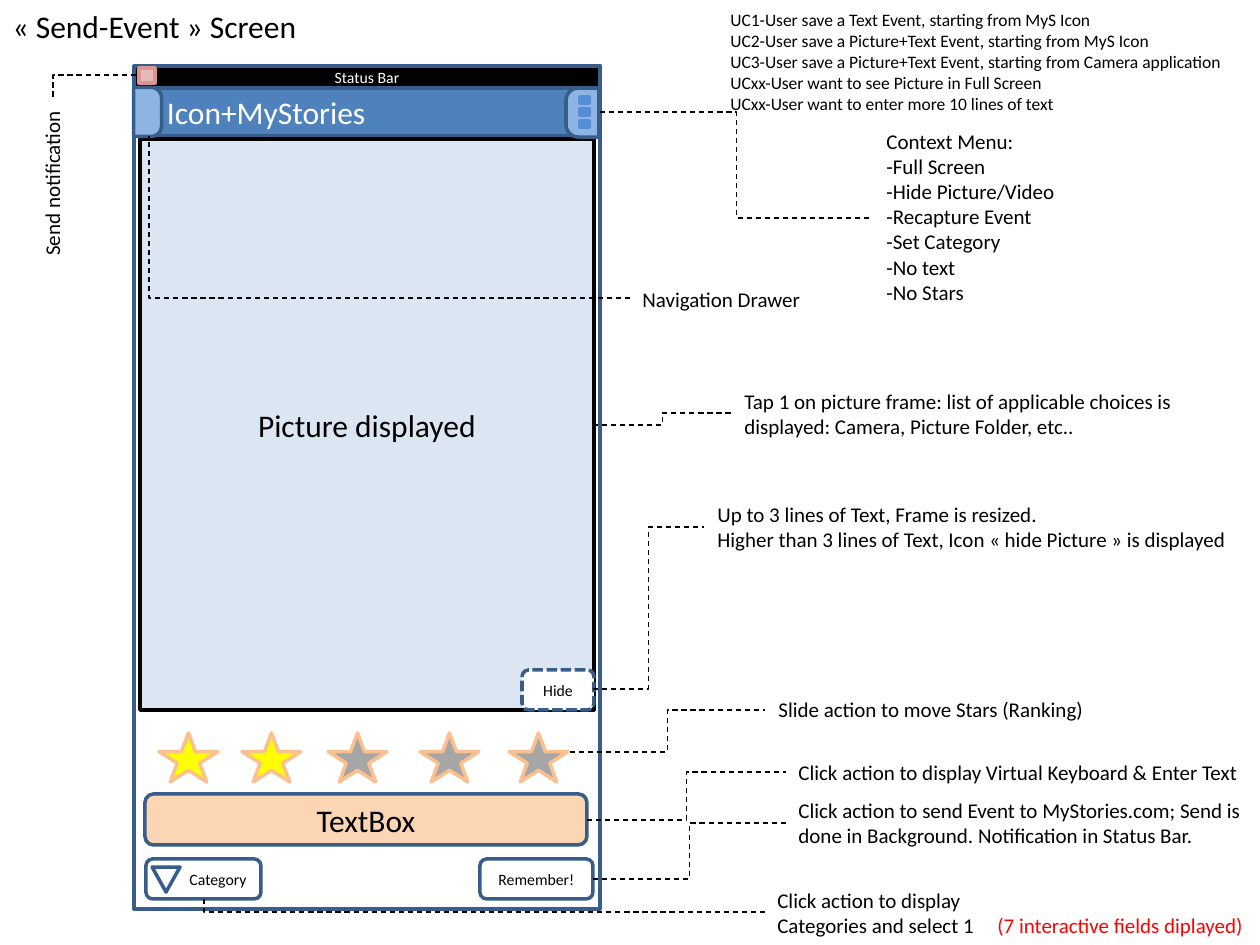
"""Build the annotated wireframe slide of the Send-Event screen."""
from lxml import etree
from pptx import Presentation
from pptx.dml.color import RGBColor
from pptx.enum.dml import MSO_LINE
from pptx.enum.shapes import MSO_CONNECTOR, MSO_SHAPE
from pptx.enum.text import MSO_ANCHOR, MSO_AUTO_SIZE, PP_ALIGN
from pptx.oxml.ns import qn
from pptx.util import Emu, Pt

RECT, ROUND = MSO_SHAPE.RECTANGLE, MSO_SHAPE.ROUNDED_RECTANGLE
TAB, STAR = MSO_SHAPE.ROUND_2_SAME_RECTANGLE, MSO_SHAPE.STAR_5_POINT
TRIANGLE = MSO_SHAPE.ISOSCELES_TRIANGLE
ELBOW = MSO_CONNECTOR.ELBOW
DASH, SHORT_DASH = MSO_LINE.DASH, MSO_LINE.SQUARE_DOT
LEFT, CENTER, RIGHT = PP_ALIGN.LEFT, PP_ALIGN.CENTER, PP_ALIGN.RIGHT
TOP = MSO_ANCHOR.TOP
GROW = MSO_AUTO_SIZE.SHAPE_TO_FIT_TEXT

BLACK = RGBColor(0x00, 0x00, 0x00)
WHITE = RGBColor(0xFF, 0xFF, 0xFF)
RED = RGBColor(0xFF, 0x00, 0x00)
BLUE = RGBColor(0x4F, 0x81, 0xBD)
NAVY = RGBColor(0x38, 0x5D, 0x8A)
SKY = RGBColor(0x8E, 0xB4, 0xE3)
DOT = RGBColor(0x55, 0x8E, 0xD5)
PALE = RGBColor(0xDC, 0xE6, 0xF2)
PEACH = RGBColor(0xFC, 0xD5, 0xB5)
ORANGE = RGBColor(0xFA, 0xC0, 0x90)
YELLOW = RGBColor(0xFF, 0xFF, 0x00)
GREY = RGBColor(0xA6, 0xA6, 0xA6)
PINK = RGBColor(0xE6, 0xB9, 0xB8)
ROSE = RGBColor(0xD9, 0x96, 0x94)

PX = 914400 / 126


def write(sp, text, size=12, color=BLACK, align=LEFT, wrap=True):
    tf = sp.text_frame
    tf.text = text
    tf.word_wrap = wrap
    for p in tf.paragraphs:
        p.alignment = align
        p.font.name = "Calibri"
        p.font.size = Pt(size)
        p.font.color.rgb = color


def box(kind, rect, fill=None, line=NAVY, rotation=0):
    sp = shapes.add_shape(kind, *[Emu(round(v * PX)) for v in rect])
    sp.shadow.inherit = False
    if fill is None:
        sp.fill.background()
    else:
        sp.fill.solid()
        sp.fill.fore_color.rgb = fill
    sp.line.color.rgb = line
    sp.line.width = Pt(2)
    sp.rotation = rotation
    return sp


prs = Presentation()
prs.slide_width, prs.slide_height = Emu(round(1260 * PX)), Emu(round(945 * PX))
s = prs.slides.add_slide(prs.slide_layouts[5])
shapes = s.shapes

title = shapes.title
title.left, title.top, title.width, title.height = [
    Emu(round(v * PX)) for v in (0, 1, 310, 50)]
write(title, "« Send-Event » Screen", size=18, wrap=False)
title.text_frame.vertical_anchor = TOP
title.text_frame.auto_size = GROW

header = box(RECT, (134, 87, 466, 49), BLUE)
write(header, "Icon+MyStories", size=18, color=WHITE)
header.text_frame.margin_left = Emu(round(33 * PX))

text_box = box(ROUND, (145, 794, 442, 51), PEACH)
write(text_box, "TextBox", size=18, align=CENTER)
remember = box(ROUND, (480, 859, 113, 40), WHITE)
write(remember, "Remember!", size=9, align=CENTER)
category = box(ROUND, (146, 859, 115, 40), WHITE)
write(category, "Category", size=9, align=RIGHT)
box(TRIANGLE, (152, 867, 28, 25), rotation=180)

for x, fill in ((159, YELLOW), (242, YELLOW), (328, GREY), (420, GREY), (509, GREY)):
    box(STAR, (x, 733, 59, 49), fill, ORANGE)

picture = box(RECT, (140, 139, 454, 571), PALE, BLACK)
write(picture, "Picture displayed", size=18, align=CENTER)
box(RECT, (134, 66, 466, 843))
status = box(RECT, (134, 66, 466, 22), BLACK)
write(status, "Status Bar", size=9, color=WHITE, align=CENTER)

for rect, rotation in (((123, 98, 49, 28), 90), ((558, 96, 49, 33), 270)):
    tab = box(TAB, rect, SKY, rotation=rotation)
    tab.adjustments[0] = 0.37
for i in range(3):
    box(RECT, (580, 97 + 12 * i, 9, 6), DOT, DOT)

hide = box(ROUND, (522, 670, 72, 40), WHITE)
hide.line.dash_style = SHORT_DASH
write(hide, "Hide", size=9, align=CENTER)

use_cases = """UC1-User save a Text Event, starting from MyS Icon
UC2-User save a Picture+Text Event, starting from MyS Icon
UC3-User save a Picture+Text Event, starting from Camera application
UCxx-User want to see Picture in Full Screen
UCxx-User want to enter more 10 lines of text"""
context_menu = """Context Menu:
-Full Screen
-Hide Picture/Video
-Recapture Event
-Set Category
-No text
-No Stars"""
text_limit = """Up to 3 lines of Text, Frame is resized.
Higher than 3 lines of Text, Icon « hide Picture » is displayed"""
tap = ("Tap 1 on picture frame: list of applicable choices is displayed: "
       "Camera, Picture Folder, etc..")
send = ("Click action to send Event to MyStories.com; Send is done in Background. "
        "Notification in Status Bar.")

notes = [
    ((718, 3, 519, 118), use_cases, {"size": 10, "wrap": False}),
    ((874, 122, 193, 189), context_menu, {"wrap": False}),
    ((630, 280, 184, 38), "Navigation Drawer", {"wrap": False}),
    ((732, 382, 457, 63), tap, {}),
    ((705, 495, 537, 63), text_limit, {"wrap": False}),
    ((766, 690, 331, 38), "Slide action to move Stars (Ranking)", {"wrap": False}),
    ((786, 753, 467, 38), "Click action to display Virtual Keyboard & Enter Text",
     {"wrap": False}),
    ((786, 791, 474, 63), send, {}),
    ((765, 881, 229, 63), "Click action to display Categories and select 1", {}),
    ((985, 906, 272, 38), "(7 interactive fields diplayed)",
     {"color": RED, "wrap": False}),
    ((-33, 164, 170, 38), "Send notification", {"wrap": False}),
]
for rect, text, style in notes:
    note = shapes.add_textbox(*[Emu(round(v * PX)) for v in rect])
    write(note, text, **style)
    note.text_frame.auto_size = GROW
note.rotation = 270

links = [
    ((765, 912, 204, 898), "bentConnector2"),
    ((587, 820, 786, 772), "bentConnector3"),
    ((593, 879, 786, 823), "bentConnector3"),
    ((570, 752, 765, 710), "bentConnector3"),
    ((593, 425, 732, 413), "bentConnector3"),
    ((630, 298, 149, 136), "bentConnector2"),
    ((600, 112, 873, 218), "bentConnector3"),
    ((593, 689, 704, 527), "bentConnector3"),
    ((163, 75, 53, 97), "bentConnector2"),
]
for ends, bend in links:
    link = shapes.add_connector(ELBOW, *[Emu(round(v * PX)) for v in ends])
    link.line.color.rgb = BLACK
    link.line.width = Pt(0.75)
    link.line.dash_style = DASH
    props = link._element.spPr
    props.find(qn("a:prstGeom")).set("prst", bend)
    etree.SubElement(props, qn("a:effectLst"))

box(RECT, (139, 68, 16, 15), PINK, ROSE)

prs.save("out.pptx")
